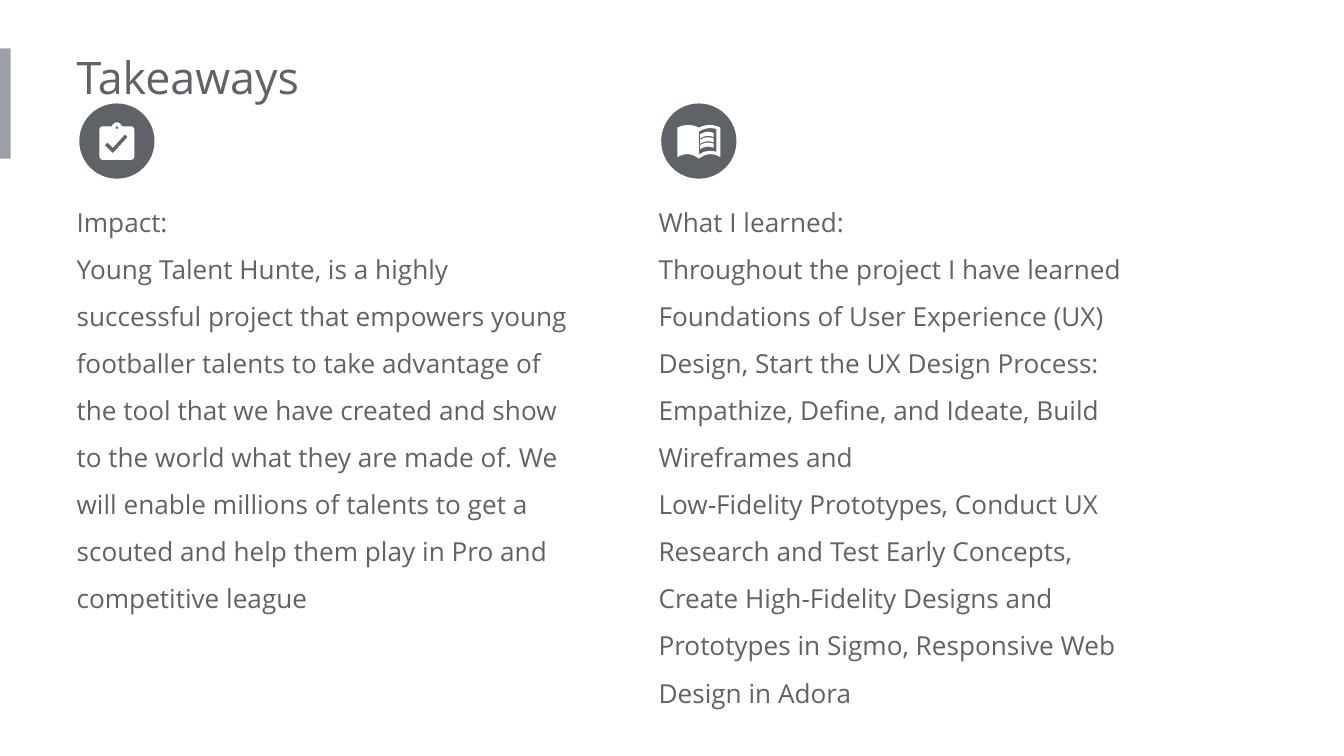
from dataclasses import dataclass
from math import cos, pi, sin

from lxml import etree
from pptx import Presentation
from pptx.dml.color import RGBColor
from pptx.enum import shapes, text
from pptx.oxml.ns import qn
from pptx.util import Emu, Inches, Pt

COLORS = {"bar": "9AA0A6", "ink": "5F6368", "icon": "FFFFFF"}
FONT = "Open Sans"
PAGE_WIDTH = Inches(10)
PAGE_HEIGHT = PAGE_WIDTH * 9 // 16
TEXT_TOP, TEXT_WIDTH = 1.32, 3.77
BADGE_TOP, BADGE_SIZE = 0.77, 0.56

Point = tuple[float, float]
Contour = list[Point]


@dataclass
class Column:
    left: float
    height: float
    paragraphs: list[str]
    icon: list[list[Contour]]


def bend(start: Point, control: Point, end: Point, steps: int = 10) -> Contour:
    """Sample a quadratic curve."""
    return [
        tuple((1 - t) ** 2 * a + 2 * t * (1 - t) * b + t ** 2 * c
              for a, b, c in zip(start, control, end))
        for t in (step / steps for step in range(steps + 1))
    ]


def circle(x: float, y: float, radius: float, steps: int = 16) -> Contour:
    angles = (2 * pi * step / steps for step in range(steps))
    return [(x + radius * cos(a), y + radius * sin(a)) for a in angles]


def clipboard() -> list[list[Contour]]:
    left, top, right, bottom, r = 0.74, 0.94, 1.0, 1.19, 0.03
    board = [
        *bend((0.91, top), (0.87, 0.88), (0.83, top)),
        *bend((left + r, top), (left, top), (left, top + r)),
        *bend((left, bottom - r), (left, bottom), (left + r, bottom)),
        *bend((right - r, bottom), (right, bottom), (right, bottom - r)),
        *bend((right, top + r), (right, top), (right - r, top)),
    ]
    check = [(0.84, 1.14), (0.78, 1.08), (0.8, 1.06),
             (0.84, 1.1), (0.93, 1.0), (0.95, 1.02)]
    return [[board, circle(0.87, 0.95, 0.01), check]]


def book() -> list[list[Contour]]:
    cover = [
        *bend((5.04, 0.95), (5.12, 0.91), (5.2, 0.95)),
        *bend((5.2, 0.95), (5.28, 0.91), (5.36, 0.95)),
        *bend((5.36, 1.17), (5.28, 1.12), (5.2, 1.18)),
        *bend((5.2, 1.18), (5.12, 1.12), (5.04, 1.17)),
    ]
    right_page = [
        *bend((5.2, 0.98), (5.26, 0.94), (5.33, 0.96)),
        *bend((5.33, 1.13), (5.26, 1.11), (5.2, 1.15)),
    ]
    lines = [
        [[*bend((5.21, y + 0.01), (5.26, y - 0.02), (5.31, y)),
          *bend((5.31, y + 0.03), (5.26, y + 0.01), (5.21, y + 0.04))]]
        for y in (0.99, 1.03, 1.07)
    ]
    return [[cover, right_page], *lines]


def paint(shape, color: str) -> None:
    shape.shadow.inherit = False
    shape.fill.solid()
    shape.fill.fore_color.rgb = RGBColor.from_string(COLORS[color])
    shape.line.fill.background()


def add_solid(page, kind, left: float, top: float,
              width: float, height: float, color: str) -> None:
    lengths = map(Inches, (left, top, width, height))
    paint(page.shapes.add_shape(kind, *lengths), color)


def add_outline(page, contours: list[Contour]) -> None:
    first, *holes = [[(Inches(x), Inches(y)) for x, y in c] for c in contours]
    builder = page.shapes.build_freeform(*first[0], scale=1.0)
    builder.add_line_segments(first[1:], close=True)
    for hole in holes:
        builder.move_to(*hole[0])
        builder.add_line_segments(hole[1:], close=True)
    paint(builder.convert_to_shape(), "icon")


def fill_placeholder(box, left: float, top: float, width: float, height: float,
                     paragraphs: list[str], size: int, spacing: float) -> None:
    box.left, box.top, box.width, box.height = map(
        Inches, (left, top, width, height))
    frame = box.text_frame
    frame.word_wrap = True
    frame.auto_size = text.MSO_AUTO_SIZE.NONE
    frame.vertical_anchor = text.MSO_ANCHOR.TOP
    frame.margin_left = Emu(0)
    frame.margin_top = frame.margin_right = frame.margin_bottom = Inches(0.1)
    for index, words in enumerate(paragraphs):
        para = frame.add_paragraph() if index else frame.paragraphs[0]
        para.alignment = text.PP_ALIGN.LEFT
        para.line_spacing = spacing
        para.space_before = Pt(0)
        properties = para._p.get_or_add_pPr()
        properties.set("marL", "0")
        properties.set("indent", "0")
        etree.SubElement(properties, qn("a:buNone"))
        span = para.add_run()
        span.text = words
        span.font.name = FONT
        span.font.size = Pt(size)
        span.font.color.rgb = RGBColor.from_string(COLORS["ink"])


def main() -> None:
    columns = [
        Column(0.57, 3.74, [
            "Impact:",
            "Young Talent Hunte, is a highly successful project that empowers "
            "young footballer talents to take advantage of the tool that we "
            "have created and show to the world what they are made of. We will "
            "enable millions of talents to get a scouted and help them play in "
            "Pro and competitive league",
        ], clipboard()),
        Column(4.9, 4.09, [
            "What I learned:",
            "Throughout the project I have learned Foundations of User "
            "Experience (UX) Design, Start the UX Design Process: Empathize, "
            "Deﬁne, and Ideate, Build Wireframes and",
            "Low-Fidelity Prototypes, Conduct UX Research and Test Early "
            "Concepts, Create High-Fidelity Designs and Prototypes in Sigmo, "
            "Responsive Web Design in Adora",
        ], book()),
    ]

    deck = Presentation()
    deck.slide_width, deck.slide_height = PAGE_WIDTH, PAGE_HEIGHT
    page = deck.slides.add_slide(deck.slide_layouts.get_by_name("Two Content"))
    title, *bodies = page.placeholders

    add_solid(page, shapes.MSO_SHAPE.RECTANGLE, 0, 0.36, 0.08, 0.82, "bar")
    fill_placeholder(title, 0.57, 0.27, 5.39, 0.61, ["Takeaways"], 24, 1.0)
    for column, body in zip(columns, bodies):
        fill_placeholder(body, column.left, TEXT_TOP, TEXT_WIDTH, column.height,
                         column.paragraphs, 14, 1.5)
        add_solid(page, shapes.MSO_SHAPE.OVAL, column.left + 0.02, BADGE_TOP,
                  BADGE_SIZE, BADGE_SIZE, "ink")
        for contours in column.icon:
            add_outline(page, contours)
    deck.save("out.pptx")


if __name__ == "__main__":
    main()
